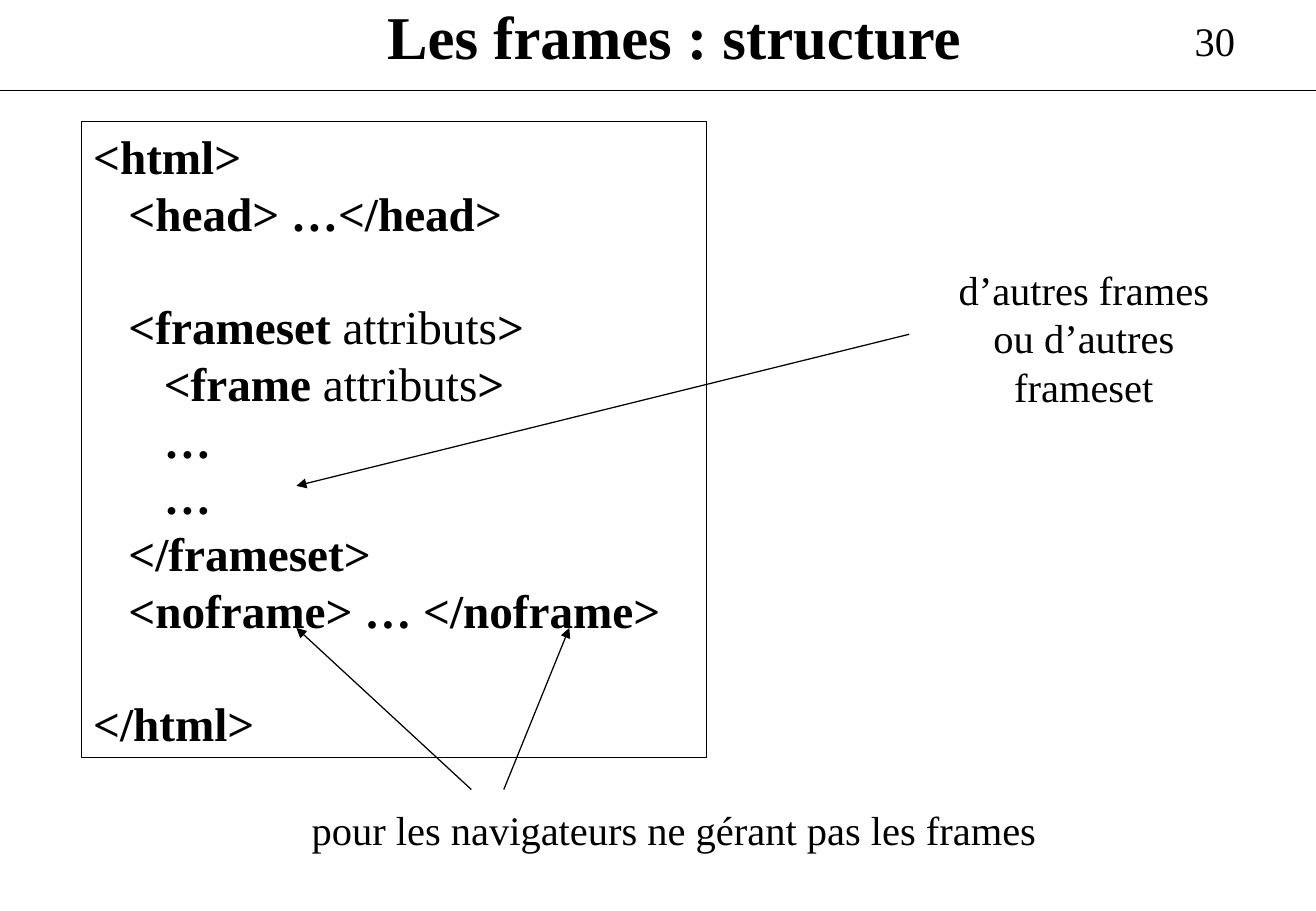
"""Build the slide on the structure of HTML frames."""
from dataclasses import dataclass

from lxml import etree
from pptx import Presentation
from pptx.dml.color import RGBColor
from pptx.enum.shapes import MSO_CONNECTOR, MSO_SHAPE
from pptx.enum.text import MSO_ANCHOR, MSO_AUTO_SIZE, PP_ALIGN
from pptx.oxml.ns import qn
from pptx.util import Cm, Pt

BLACK = RGBColor(0, 0, 0)
FONT = "Times New Roman"
LEFT, CENTER = PP_ALIGN.LEFT, PP_ALIGN.CENTER
LEADING = 1.2
CODE_SIZE = 28
PLAIN_WORD = "attributs"
FRAME_FORMAT = {
    "margin_left": Cm(0.25), "margin_right": Cm(0.25),
    "margin_top": Cm(0.13), "margin_bottom": Cm(0.13),
    "vertical_anchor": MSO_ANCHOR.TOP, "auto_size": MSO_AUTO_SIZE.NONE,
}


@dataclass
class Box:
    left: float
    top: float
    width: float
    height: float


@dataclass
class Label:
    text: str
    box: Box
    align: PP_ALIGN = LEFT
    wrap: bool = True


@dataclass
class Line:
    x1: float
    y1: float
    x2: float
    y2: float
    arrow: bool = True


@dataclass
class CodeLine:
    text: str
    gap_before: bool = False


TITLE = Label("Les frames : structure", Box(7.85, -0.15, 12.52, 1.78), wrap=False)
LABELS = [
    Label("30", Box(24.74, 0.2, 2.5, 1.27)),
    Label("d’autres frames ou d’autres frameset", Box(19.46, 5.41, 6.43, 3.3), CENTER),
    Label("pour les navigateurs ne gérant pas les frames",
          Box(6.27, 16.71, 15.67, 1.27), wrap=False),
]
LINES = [
    Line(0, 1.9, 27.53, 1.9, arrow=False),
    Line(19.02, 6.99, 6.2, 10.16),
    Line(9.86, 16.51, 6.2, 13.13),
    Line(10.54, 16.51, 11.91, 13.13),
]
CODE_BOX = Box(1.7, 2.54, 13.08, 13.31)
CODE = [
    CodeLine("<html>"),
    CodeLine("   <head> …</head>"),
    CodeLine("   <frameset attributs>", gap_before=True),
    CodeLine("      <frame attributs>"),
    CodeLine("      …"),
    CodeLine("      …"),
    CodeLine("   </frameset>"),
    CodeLine("   <noframe> … </noframe>"),
    CodeLine("</html>", gap_before=True),
]


def place(box: Box) -> list[int]:
    """Return the box as lengths."""
    return [Cm(v) for v in (box.left, box.top, box.width, box.height)]


def format_frame(tf, wrap: bool) -> None:
    """Apply the common margins, anchor and wrapping."""
    for name, value in FRAME_FORMAT.items():
        setattr(tf, name, value)
    tf.word_wrap = wrap


def format_paragraph(p, size: float, align: PP_ALIGN, gap: bool = False) -> None:
    """Set alignment and spacing, leaving one line free if asked."""
    pitch = Pt(LEADING * size)
    spacing = {"alignment": align, "line_spacing": pitch}
    if gap:
        spacing["space_before"] = pitch
    for name, value in spacing.items():
        setattr(p, name, value)


def add_run(p, text: str, size: float, bold: bool) -> None:
    """Add a black run in the slide font."""
    r = p.add_run()
    r.text = text
    for name, value in {"name": FONT, "size": Pt(size), "bold": bold}.items():
        setattr(r.font, name, value)
    r.font.color.rgb = BLACK


def write_label(sp, label: Label, size: float, bold: bool = False) -> None:
    """Write a label into a shape."""
    format_frame(sp.text_frame, label.wrap)
    p = sp.text_frame.paragraphs[0]
    format_paragraph(p, size, label.align)
    add_run(p, label.text, size, bold)


def format_line(line) -> None:
    """Make a line thin and black."""
    line.color.rgb = BLACK
    line.width = Pt(0.75)


def draw_code(s) -> None:
    """Draw the framed HTML skeleton."""
    sp = s.shapes.add_shape(MSO_SHAPE.RECTANGLE, *place(CODE_BOX))
    sp.shadow.inherit = False
    sp.fill.background()
    format_line(sp.line)
    tf = sp.text_frame
    format_frame(tf, True)
    for i, code in enumerate(CODE):
        p = tf.add_paragraph() if i else tf.paragraphs[0]
        format_paragraph(p, CODE_SIZE, LEFT, code.gap_before)
        for part in code.text.partition(PLAIN_WORD):
            if part:
                add_run(p, part, CODE_SIZE, part != PLAIN_WORD)


def draw_line(s, line: Line) -> None:
    """Draw a rule or an arrow."""
    ends = [Cm(v) for v in (line.x1, line.y1, line.x2, line.y2)]
    sp = s.shapes.add_connector(MSO_CONNECTOR.STRAIGHT, *ends)
    format_line(sp.line)
    if line.arrow:
        ln = sp.line._get_or_add_ln()
        etree.SubElement(ln, qn("a:tailEnd"), type="triangle")
    etree.SubElement(sp._element.spPr, qn("a:effectLst"))


def main() -> None:
    """Build and save the slide."""
    prs = Presentation()
    prs.slide_width, prs.slide_height = Cm(27.53), Cm(19.05)
    s = prs.slides.add_slide(prs.slide_layouts[5])
    title = s.shapes.title
    title.left, title.top, title.width, title.height = place(TITLE.box)
    write_label(title, TITLE, 36, bold=True)
    draw_code(s)
    for label in LABELS:
        write_label(s.shapes.add_textbox(*place(label.box)), label, 24)
    for line in LINES:
        draw_line(s, line)
    prs.save("out.pptx")


if __name__ == "__main__":
    main()
